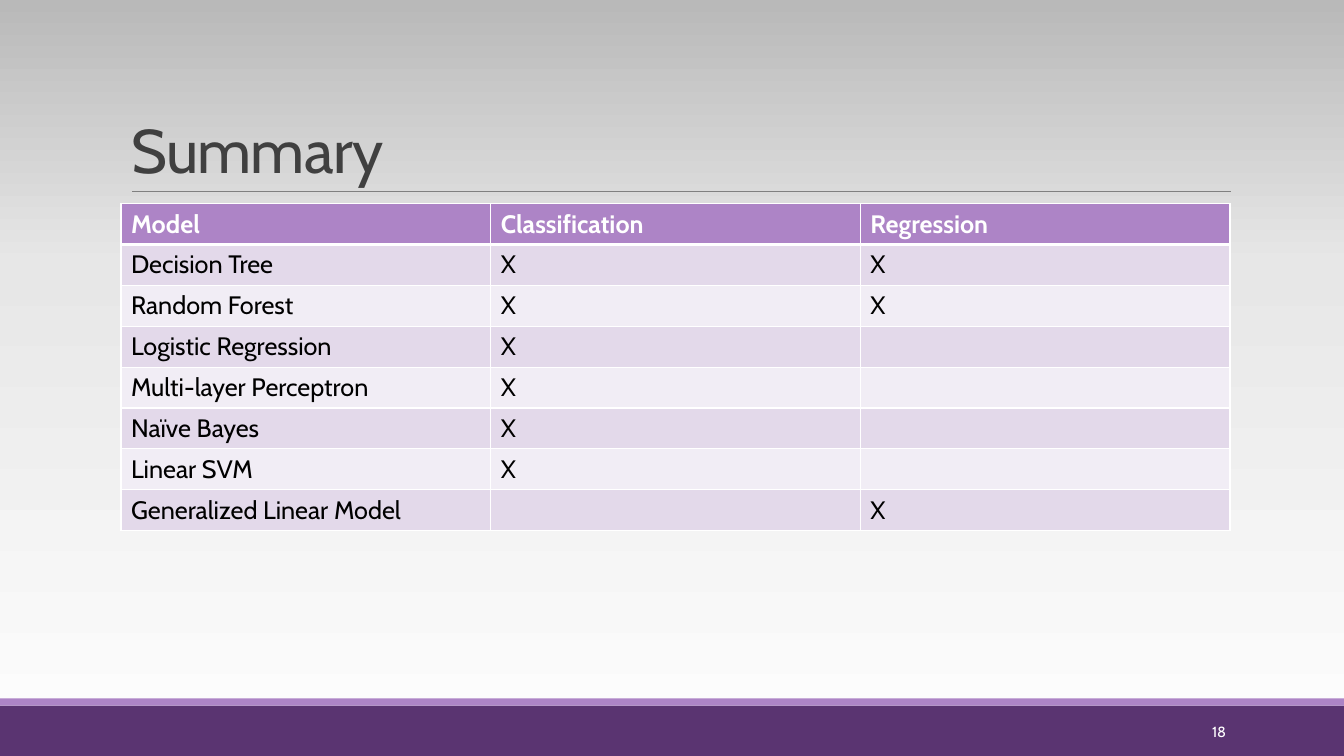
from copy import deepcopy
from lxml import etree
from pptx import Presentation
from pptx import util as u
from pptx.dml.color import RGBColor
from pptx.enum import shapes, text
from pptx.oxml.ns import qn

COLORS = {"white": "FFFFFF", "black": "000000", "title": "404040", "rule": "808080",
          "purple": "5A3471", "lilac": "AD84C6", "band_dark": "E3D9EA", "band_light": "F1EDF5"}
BACKGROUND = [(0, "FEFEFE"), (0.65, "E7E7E7"), (1, "B9B9B9")]
ROWS = [("Model", "Classification", "Regression"),
        ("Decision Tree", "X", "X"),
        ("Random Forest", "X", "X"),
        ("Logistic Regression", "X", ""),
        ("Multi-layer Perceptron", "X", ""),
        ("Naïve Bayes", "X", ""),
        ("Linear SVM", "X", ""),
        ("Generalized Linear Model", "", "X")]


def write(frame, words, size, color, bold=False, align=text.PP_ALIGN.LEFT,
          anchor=text.MSO_ANCHOR.TOP, line_spacing=None, tracking=None):
    frame.word_wrap = True
    frame.vertical_anchor = anchor
    paragraph = frame.paragraphs[0]
    paragraph.alignment = align
    paragraph.line_spacing = line_spacing
    paragraph.font.size = u.Pt(size)
    if words:
        run = paragraph.add_run()
        run.text = words
        run.font.name, run.font.size, run.font.bold = "Cabin", u.Pt(size), bold
        run.font.color.rgb = RGBColor.from_string(COLORS[color])
        if tracking:
            run.font._element.set("spc", str(int(tracking * 100)))


def add_border(cell, side, width):
    line = etree.SubElement(cell._tc.get_or_add_tcPr(), qn("a:" + side), w=str(u.Pt(width)))
    fill = etree.SubElement(line, qn("a:solidFill"))
    etree.SubElement(fill, qn("a:srgbClr"), val=COLORS["white"])


presentation = Presentation()
presentation.slide_width, presentation.slide_height = u.Inches(13.33), u.Inches(7.5)
slide = presentation.slides.add_slide(presentation.slide_layouts[5])
left, width = u.Inches(1.2), u.Inches(11)

# Background gradient, light at the bottom
fill = slide.background.fill
fill.gradient()
fill.gradient_angle = 90
stop_list = slide.element.find(".//" + qn("a:gsLst"))
stop_list.append(deepcopy(stop_list[0]))
for stop, (position, color) in zip(fill.gradient_stops, BACKGROUND):
    stop.position = position
    stop.color.rgb = RGBColor.from_string(color)

# Footer bands
for top, height, color in [(7, 0.5, "purple"), (6.93, 0.07, "lilac")]:
    band = slide.shapes.add_shape(shapes.MSO_SHAPE.RECTANGLE, 0, u.Inches(top),
                                  presentation.slide_width, u.Inches(height))
    band.shadow.inherit = False
    band.fill.solid()
    band.fill.fore_color.rgb = RGBColor.from_string(COLORS[color])
    band.line.fill.background()

# Title and the rule below it
title = slide.shapes.title
title.left, title.top, title.width, title.height = left, u.Inches(0.31), width, u.Inches(1.59)
write(title.text_frame, "Summary", 44, "title", anchor=text.MSO_ANCHOR.BOTTOM,
      line_spacing=0.85, tracking=-0.5)
rule = slide.shapes.add_connector(shapes.MSO_CONNECTOR.STRAIGHT, u.Inches(1.31), u.Inches(1.9),
                                  u.Inches(12.21), u.Inches(1.9))
rule.line.color.rgb = RGBColor.from_string(COLORS["rule"])
rule.line.width = u.Pt(0.5)
etree.SubElement(rule._element.spPr, qn("a:effectLst"))

# Model table
table = slide.shapes.add_table(len(ROWS), len(ROWS[0]), left, u.Inches(2.02),
                               width, u.Inches(3.24)).table
for row_index, row in enumerate(ROWS):
    header = row_index == 0
    color = "lilac" if header else ("band_light", "band_dark")[row_index % 2]
    for column_index, words in enumerate(row):
        cell = table.cell(row_index, column_index)
        write(cell.text_frame, words, 18, "white" if header else "black", bold=header)
        for side in ("lnL", "lnR", "lnT", "lnB"):
            under_header = (row_index, side) in [(0, "lnB"), (1, "lnT")]
            add_border(cell, side, 3 if under_header else 1)
        cell.fill.solid()
        cell.fill.fore_color.rgb = RGBColor.from_string(COLORS[color])

# Slide number
number = slide.shapes.add_textbox(u.Inches(10.83), u.Inches(7.06), u.Inches(1.43), u.Inches(0.4))
write(number.text_frame, "18", 10.5, "white", align=text.PP_ALIGN.RIGHT,
      anchor=text.MSO_ANCHOR.MIDDLE)

presentation.save("out.pptx")
